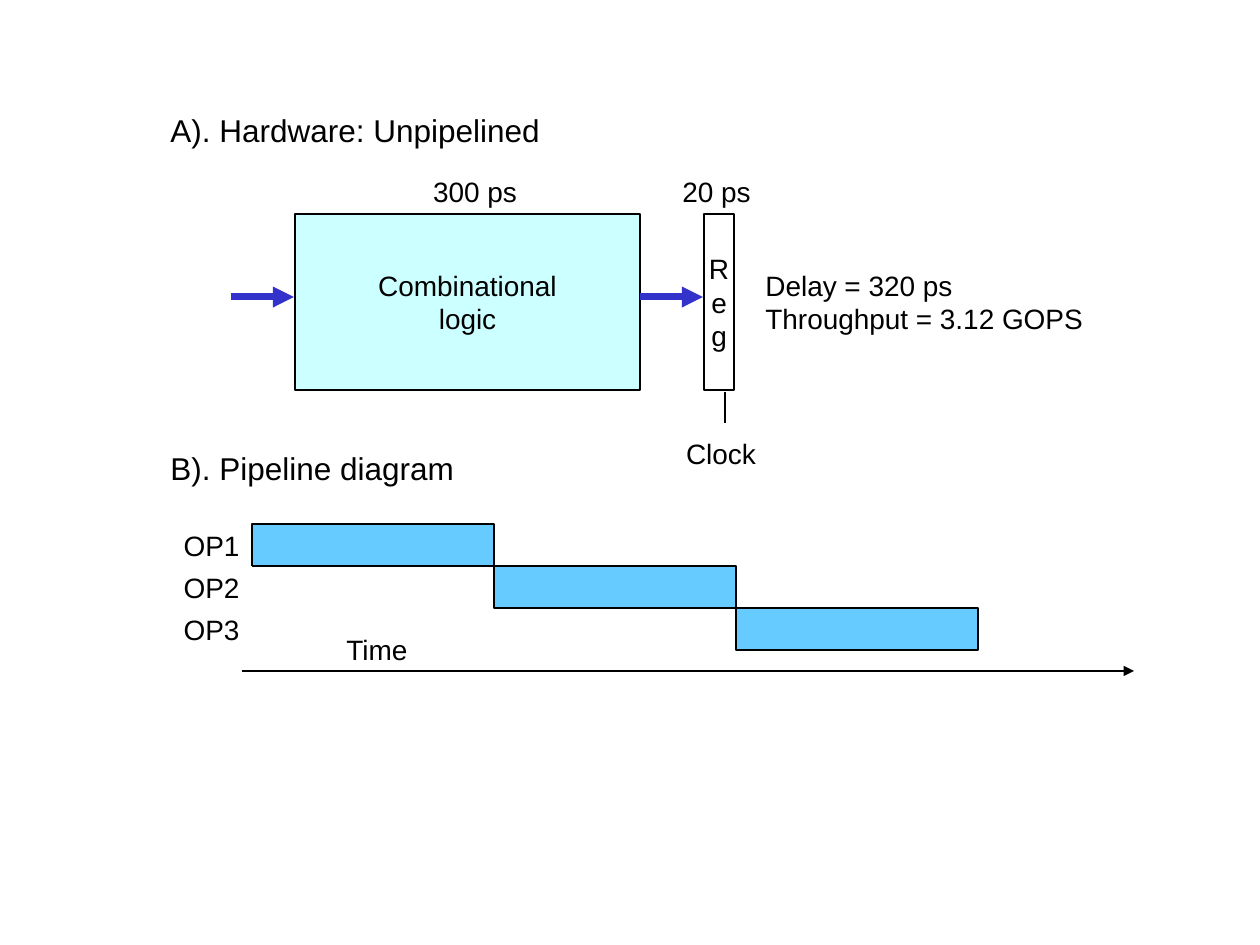
"""Build a slide showing unpipelined hardware and its pipeline diagram."""
from dataclasses import dataclass

from lxml.etree import SubElement
from pptx import Presentation
from pptx.dml.color import RGBColor
from pptx.enum.shapes import MSO_CONNECTOR, MSO_SHAPE
from pptx.enum.text import MSO_ANCHOR, MSO_AUTO_SIZE, PP_ALIGN
from pptx.oxml.ns import qn
from pptx.util import Emu, Pt


@dataclass(frozen=True)
class Theme:
    font: str = "Arial"
    heading: int = 18
    body: int = 16
    ink: str = "000000"
    paper: str = "FFFFFF"
    logic: str = "CCFFFF"
    operation: str = "66CCFF"
    signal: str = "3333CC"


THEME = Theme()
PX_PER_INCH = 126
SLIDE_SIZE = (1260, 945)

HEADINGS = [
    ("A). Hardware: Unpipelined", (158, 105, 396, 50)),
    ("B). Pipeline diagram", (158, 443, 311, 50)),
]
BLOCKS = [
    (["Combinational", "logic"], (295, 214, 345, 176), THEME.logic),
    (["R", "e", "g"], (704, 214, 30, 176), THEME.paper),
]
LABELS = [
    (["300 ps"], (419, 168, 112, 45), PP_ALIGN.CENTER),
    (["20 ps"], (668, 168, 97, 45), PP_ALIGN.CENTER),
    (["Clock"], (672, 430, 98, 45), PP_ALIGN.CENTER),
    (["Delay = 320 ps", "Throughput = 3.12 GOPS"], (753, 262, 345, 79), PP_ALIGN.LEFT),
    (["Time"], (334, 626, 89, 45), PP_ALIGN.LEFT),
]
LINES = [
    ((231, 297), (294, 297), THEME.signal, 4, True),
    ((640, 297), (703, 297), THEME.signal, 4, True),
    ((725, 392), (725, 423), THEME.ink, 1, False),
    ((242, 671), (1134, 671), THEME.ink, 1, True),
]
OPERATIONS = ["OP1", "OP2", "OP3"]
BAR_LEFT, BAR_TOP, BAR_WIDTH, BAR_HEIGHT = 252, 524, 242, 42
OPERATION_LABEL_WIDTH = 116


def px(*lengths):
    return [Emu(round(length * 914400 / PX_PER_INCH)) for length in lengths]


def color(value):
    return RGBColor.from_string(value)


def write(shape, texts, align, size=THEME.body, anchor=MSO_ANCHOR.MIDDLE):
    frame = shape.text_frame
    frame.word_wrap = False
    frame.vertical_anchor = anchor
    frame.text = "\n".join(texts)
    for paragraph in frame.paragraphs:
        paragraph.alignment = align
        paragraph.font.name = THEME.font
        paragraph.font.size = Pt(size)
        paragraph.font.color.rgb = color(THEME.ink)


def add_text(slide, texts, place, align=PP_ALIGN.LEFT, size=THEME.body):
    box = slide.shapes.add_textbox(*px(*place))
    write(box, texts, align, size, MSO_ANCHOR.TOP)
    box.text_frame.auto_size = MSO_AUTO_SIZE.SHAPE_TO_FIT_TEXT


def add_box(slide, place, fill, line_width=None):
    box = slide.shapes.add_shape(MSO_SHAPE.RECTANGLE, *px(*place))
    box.shadow.inherit = False
    box.fill.solid()
    box.fill.fore_color.rgb = color(fill)
    if line_width:
        box.line.color.rgb = color(THEME.ink)
        box.line.width = Pt(line_width)
    else:
        box.line.fill.background()
    return box


def add_line(slide, start, end, stroke, width, arrow):
    line = slide.shapes.add_connector(MSO_CONNECTOR.STRAIGHT, *px(*start, *end))
    line.line.color.rgb = color(stroke)
    line.line.width = Pt(width)
    properties = line.element.spPr
    if arrow:
        SubElement(properties.find(qn("a:ln")), qn("a:tailEnd"), type="triangle")
    SubElement(properties, qn("a:effectLst"))


def add_operation(slide, index, name):
    top = BAR_TOP + index * BAR_HEIGHT
    label_place = (BAR_LEFT - OPERATION_LABEL_WIDTH, top, OPERATION_LABEL_WIDTH, BAR_HEIGHT)
    label = add_box(slide, label_place, THEME.paper)
    write(label, [name], PP_ALIGN.RIGHT)
    bar_place = (BAR_LEFT + index * BAR_WIDTH, top, BAR_WIDTH, BAR_HEIGHT)
    add_box(slide, bar_place, THEME.operation, 0.75)


def main():
    deck = Presentation()
    deck.slide_width, deck.slide_height = px(*SLIDE_SIZE)
    slide = deck.slides.add_slide(deck.slide_layouts[6])
    for texts, place, fill in BLOCKS:
        write(add_box(slide, place, fill, 1), texts, PP_ALIGN.CENTER)
    for index, name in enumerate(OPERATIONS):
        add_operation(slide, index, name)
    for line in LINES:
        add_line(slide, *line)
    for label in LABELS:
        add_text(slide, *label)
    for text, place in HEADINGS:
        add_text(slide, [text], place, size=THEME.heading)
    deck.save("out.pptx")


if __name__ == "__main__":
    main()
